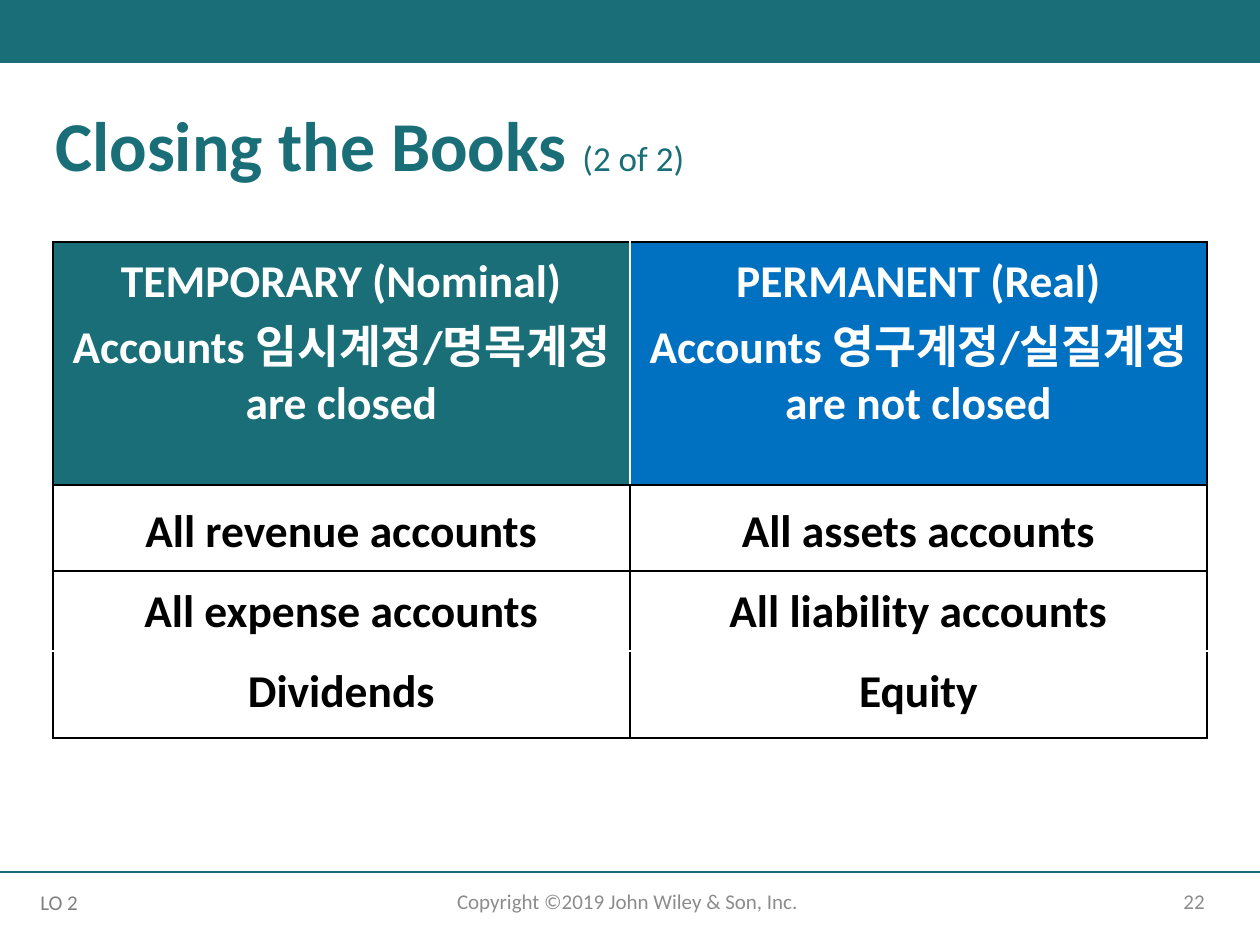
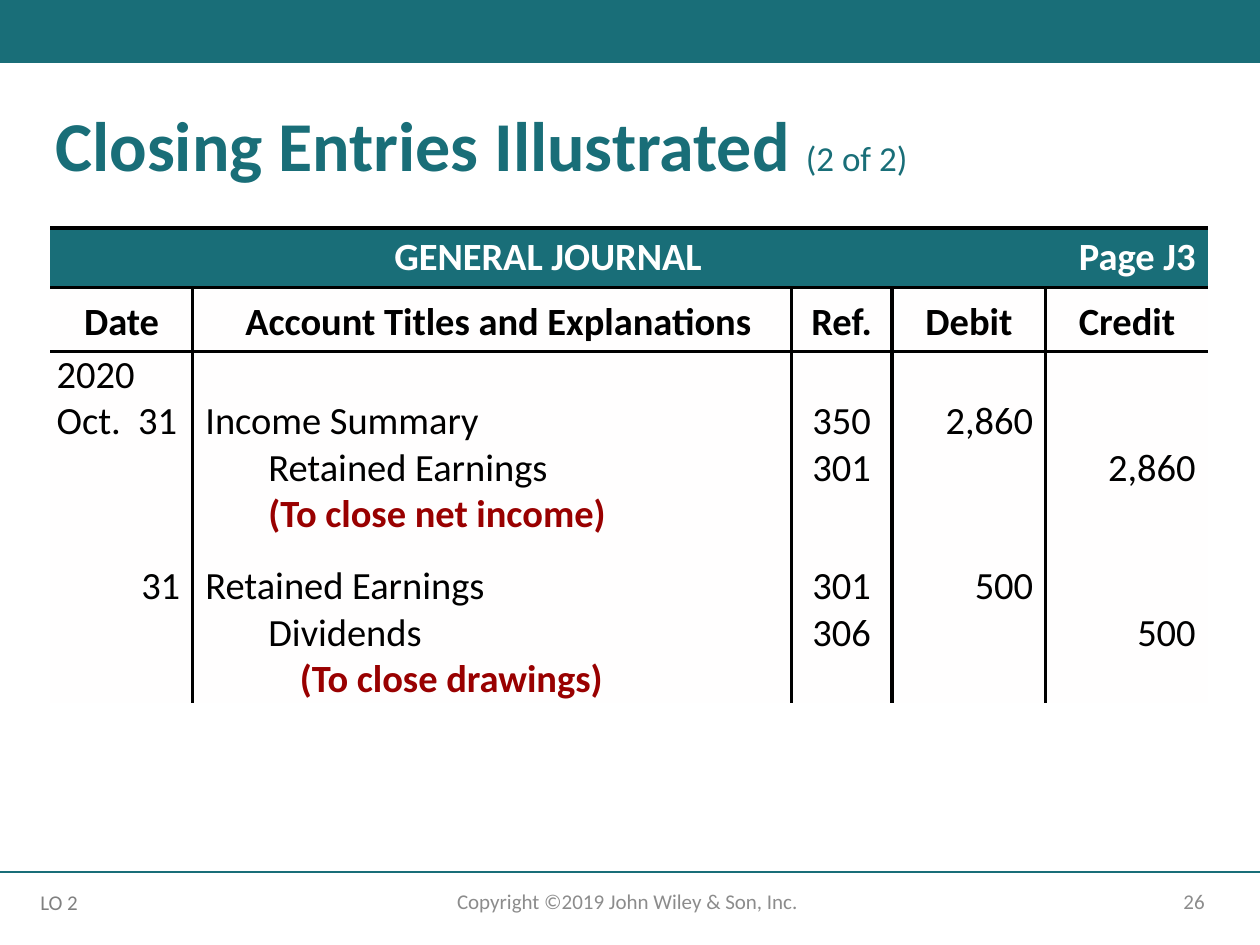
from dataclasses import dataclass

from lxml import etree
from pptx import Presentation
from pptx import util as u
from pptx.dml.color import RGBColor
from pptx.enum import shapes, text
from pptx.oxml import ns

LEFT, CENTER, RIGHT = text.PP_ALIGN.LEFT, text.PP_ALIGN.CENTER, text.PP_ALIGN.RIGHT
TOP, MIDDLE, BOTTOM = text.MSO_ANCHOR.TOP, text.MSO_ANCHOR.MIDDLE, text.MSO_ANCHOR.BOTTOM


@dataclass(frozen=True)
class Theme:
    font: str = "Calibri"
    teal: str = "196E78"
    blue: str = "0070C0"
    red: str = "990000"
    black: str = "000000"
    white: str = "FFFFFF"
    paper: str = "FFFEFE"
    copyright: str = "8C8C8C"
    objective: str = "808080"
    title: int = 40
    counter: int = 20
    accounts: int = 26
    journal: int = 22
    footer: int = 12
    rule: float = 1
    account_line: float = 1.5
    journal_line: float = 2.25


THEME = Theme()

# Content shared by the slides
COUNTER = "(2 of 2)"
OBJECTIVE = "LO 2"
COPYRIGHT = "Copyright ©2019 John Wiley & Son, Inc."

# Content of the accounts slide
ACCOUNT_HEADS = [
    (["TEMPORARY (Nominal)", "Accounts 임시계정/명목계정", "are closed"], THEME.teal),
    (["PERMANENT (Real)", "Accounts 영구계정/실질계정", "are not closed"], THEME.blue),
]
ACCOUNTS = [
    ("All revenue accounts", "All assets accounts"),
    ("All expense accounts", "All liability accounts"),
    ("Dividends", "Equity"),
]
ACCOUNT_HEIGHTS = [1.93, 0.68, 0.63, 0.69]
ACCOUNT_INSETS = [(0.1, 0), (0.15, 0.1), (0.1, 0.1), (0.1, 0.15)]  # top, bottom

# Content of the journal slide
JOURNAL_BAND = [("GENERAL JOURNAL", CENTER, 0), ("Page J3", RIGHT, 0.1)]
JOURNAL_COLUMNS = [  # heading, width, alignment, left and right inset
    ("Date", 1.13, LEFT, 0.05, 0.1),
    ("Account Titles and Explanations", 4.75, LEFT, 0.1, 0),
    ("Ref.", 0.8, CENTER, 0, 0),
    ("Debit", 1.22, RIGHT, 0, 0.1),
    ("Credit", 1.29, RIGHT, 0, 0.1),
]
ENTRIES = [  # cells, indent of the account title, row height
    (("2020\nOct.  31", "Income Summary", "350", "2,860", ""), 0, 0.74),
    (("", "Retained Earnings", "301", "", "2,860"), 0.5, 0.37),
    (("", "(To close net income)", "", "", ""), 0.5, 0.37),
    (("31", "Retained Earnings", "301", "500", ""), 0, 0.57),
    (("", "Dividends", "306", "", "500"), 0.5, 0.37),
    (("", "(To close drawings)", "", "", ""), 0.75, 0.37),
]
HEADING_HEIGHT = 0.52
SECOND_ENTRY = 3


def write(frame, paragraphs, align=LEFT, indent=0, line_spacing=None):
    """Each paragraph is a list of runs: (words, size, colour, bold)."""
    for number, runs in enumerate(paragraphs):
        paragraph = frame.paragraphs[0] if number == 0 else frame.add_paragraph()
        paragraph.alignment = align
        if line_spacing:
            paragraph.line_spacing = line_spacing
        if indent:
            paragraph._p.get_or_add_pPr().set("marL", str(u.Inches(indent)))
        for words, size, colour, bold in runs:
            run = paragraph.add_run()
            run.text = words
            look = {"name": THEME.font, "size": u.Pt(size), "bold": bold}
            for key, value in look.items():
                setattr(run.font, key, value)
            run.font.color.rgb = RGBColor.from_string(colour)


def set_insets(target, left, top, right, bottom):
    insets = {"left": left, "top": top, "right": right, "bottom": bottom}
    for side, length in insets.items():
        setattr(target, f"margin_{side}", u.Inches(length))


def add_text(slide, box, paragraphs, anchor=TOP, insets=(0.1, 0.05, 0.1, 0.05), **layout):
    frame = slide.shapes.add_textbox(*map(u.Inches, box)).text_frame
    frame.word_wrap = True
    frame.vertical_anchor = anchor
    set_insets(frame, *insets)
    write(frame, paragraphs, **layout)


def add_table(slide, left, top, widths, heights):
    table = slide.shapes.add_table(
        len(heights), len(widths), *map(u.Inches, (left, top, sum(widths), sum(heights)))
    ).table
    table.first_row = table.horz_banding = False
    for column, width in zip(table.columns, widths):
        column.width = u.Inches(width)
    for row, height in zip(table.rows, heights):
        row.height = u.Inches(height)
    return table


def style_cell(cell, fill, borders, line_width, anchor, insets):
    """Borders maps the sides L, R, T and B to colours; other sides stay bare."""
    cell.vertical_anchor = anchor
    set_insets(cell, *insets)
    properties = cell._tc.get_or_add_tcPr()
    for side in "LRTB":
        line = etree.SubElement(properties, ns.qn(f"a:ln{side}"), w=str(u.Pt(line_width)))
        if borders.get(side):
            solid = etree.SubElement(line, ns.qn("a:solidFill"))
            etree.SubElement(solid, ns.qn("a:srgbClr"), val=borders[side])
        else:
            etree.SubElement(line, ns.qn("a:noFill"))
    cell.fill.solid()
    cell.fill.fore_color.rgb = RGBColor.from_string(fill)


def add_page(deck, title, number):
    slide = deck.slides.add_slide(deck.slide_layouts[6])
    # Top band
    band = slide.shapes.add_shape(
        shapes.MSO_SHAPE.RECTANGLE, 0, 0, deck.slide_width, u.Inches(0.5))
    band.shadow.inherit = False
    band.fill.solid()
    band.fill.fore_color.rgb = RGBColor.from_string(THEME.teal)
    band.line.fill.background()
    # Footer rule
    rule = slide.shapes.add_connector(
        shapes.MSO_CONNECTOR.STRAIGHT, 0, u.Inches(6.92), deck.slide_width, u.Inches(6.92))
    rule.line.color.rgb = RGBColor.from_string(THEME.teal)
    rule.line.width = u.Pt(THEME.rule)
    etree.SubElement(rule._element.spPr, ns.qn("a:effectLst"))
    # Title
    add_text(slide, (0.34, 0.83, 9.49, 0.71),
             [[(title + " ", THEME.title, THEME.teal, True),
               (COUNTER, THEME.counter, THEME.teal, False)]], line_spacing=0.9)
    # Footer
    add_text(slide, (0.25, 7.01, 0.53, 0.3),
             [[(OBJECTIVE, THEME.footer, THEME.objective, False)]],
             insets=(0, 0.05, 0, 0.05), indent=0.07)
    for words, left, width, align in [(COPYRIGHT, 3.29, 3.38, CENTER),
                                      (str(number), 7.06, 2.6, RIGHT)]:
        add_text(slide, (left, 6.95, width, 0.4),
                 [[(words, THEME.footer, THEME.copyright, False)]],
                 anchor=MIDDLE, align=align)
    return slide


def build_accounts(deck):
    slide = add_page(deck, "Closing the Books", 22)
    table = add_table(slide, 0.42, 1.92, [4.58, 4.58], ACCOUNT_HEIGHTS)
    rows = [[head for head, _ in ACCOUNT_HEADS]]
    rows += [[[name] for name in pair] for pair in ACCOUNTS]
    # Colours of the horizontal lines, from the top edge down
    levels = [THEME.black, THEME.black, THEME.black, THEME.white, THEME.black]
    for r, row in enumerate(rows):
        is_head = r == 0
        ink = THEME.white if is_head else THEME.black
        divider = THEME.white if is_head else THEME.black
        top, bottom = ACCOUNT_INSETS[r]
        for c, lines in enumerate(row):
            cell = table.cell(r, c)
            borders = {"L": divider if c else THEME.black,
                       "R": THEME.black if c else divider,
                       "T": levels[r], "B": levels[r + 1]}
            style_cell(cell, ACCOUNT_HEADS[c][1] if is_head else THEME.white, borders,
                       THEME.account_line, TOP if is_head else MIDDLE,
                       (0.1, top, 0.1, bottom))
            write(cell.text_frame, [[(line, THEME.accounts, ink, True)] for line in lines],
                  align=CENTER)


def build_journal(deck):
    slide = add_page(deck, "Closing Entries Illustrated", 26)
    widths = [column[1] for column in JOURNAL_COLUMNS]
    heights = [HEADING_HEIGHT] + [height for _, _, height in ENTRIES]
    table = add_table(slide, 0.4, 2.27, widths, heights)
    last = len(widths) - 1

    for c, (heading, _, align, left, right) in enumerate(JOURNAL_COLUMNS):
        dividers = {"L": THEME.black if c > 0 else None,
                    "R": THEME.black if c < last else None}
        # Column heading
        cell = table.cell(0, c)
        style_cell(cell, THEME.paper, dividers | {"T": THEME.black, "B": THEME.black},
                   THEME.journal_line, BOTTOM, (0.1 if c == 1 else 0, 0.1, 0, 0.05))
        write(cell.text_frame, [[(heading, THEME.journal, THEME.black, True)]], align=CENTER)
        # Entries
        for r, (values, indent, _) in enumerate(ENTRIES):
            cell = table.cell(r + 1, c)
            borders = dividers | {"T": THEME.black if r == 0 else None}
            gap = 0.2 if r == SECOND_ENTRY else 0
            style_cell(cell, THEME.paper, borders, THEME.journal_line, BOTTOM,
                       (left, gap, right, 0))
            if not values[c]:
                continue
            is_note = values[c].startswith("(")
            ink = THEME.red if is_note else THEME.black
            write(cell.text_frame,
                  [[(line, THEME.journal, ink, is_note)] for line in values[c].split("\n")],
                  align=RIGHT if c == 0 and r == SECOND_ENTRY else align,
                  indent=indent if c == 1 else 0)

    # Journal band above the columns
    band = add_table(slide, 0.4, 1.81, [sum(widths[:-1]), widths[-1]], [0.47])
    for c, (words, align, right) in enumerate(JOURNAL_BAND):
        cell = band.cell(0, c)
        style_cell(cell, THEME.teal, {"T": THEME.black, "B": THEME.black},
                   THEME.journal_line, MIDDLE, (0, 0.05, right, 0.05))
        write(cell.text_frame, [[(words, THEME.journal, THEME.white, True)]], align=align)


def main():
    deck = Presentation()
    deck.slide_width, deck.slide_height = u.Inches(10), u.Inches(7.5)
    build_accounts(deck)
    build_journal(deck)
    deck.save("out.pptx")


if __name__ == "__main__":
    main()
